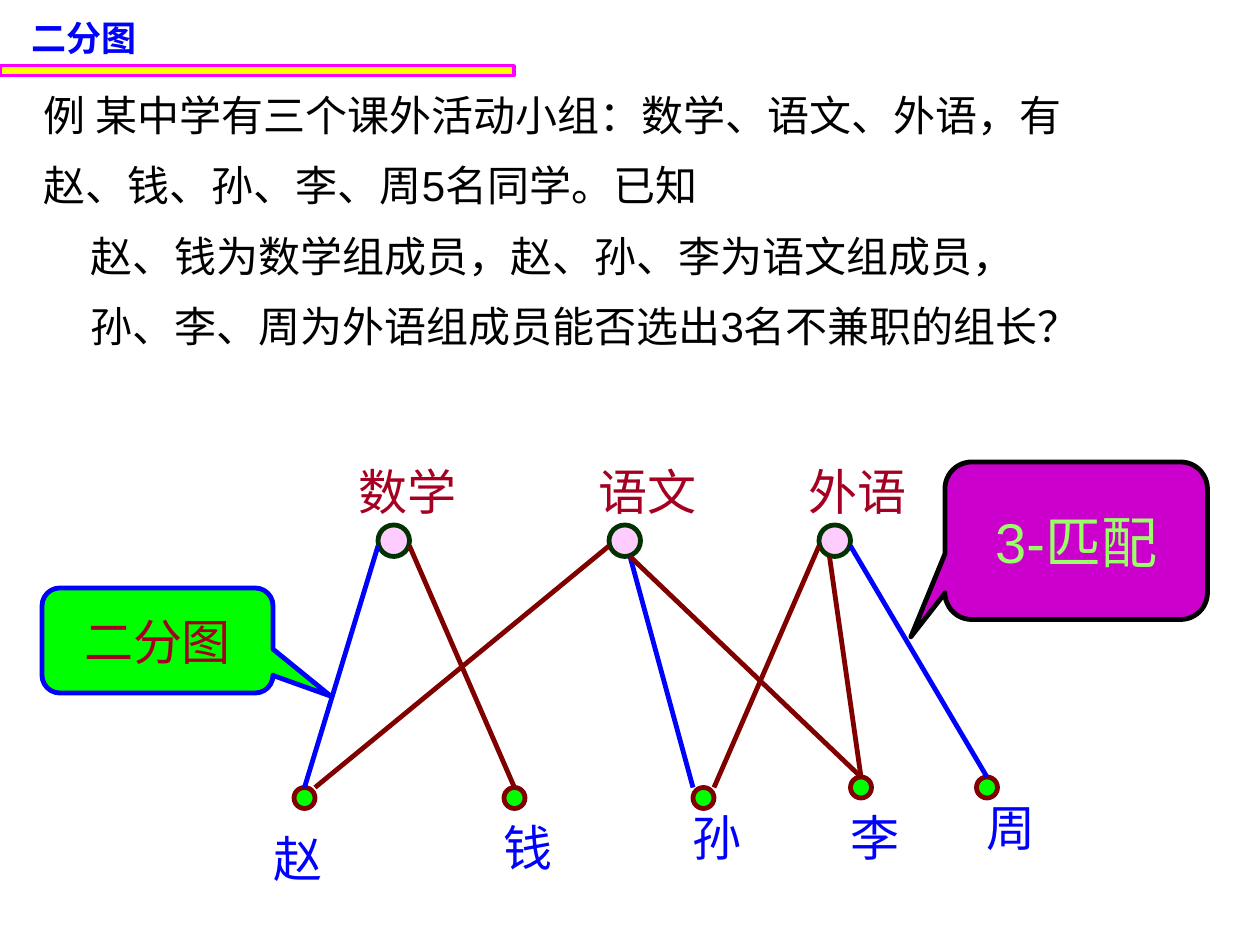
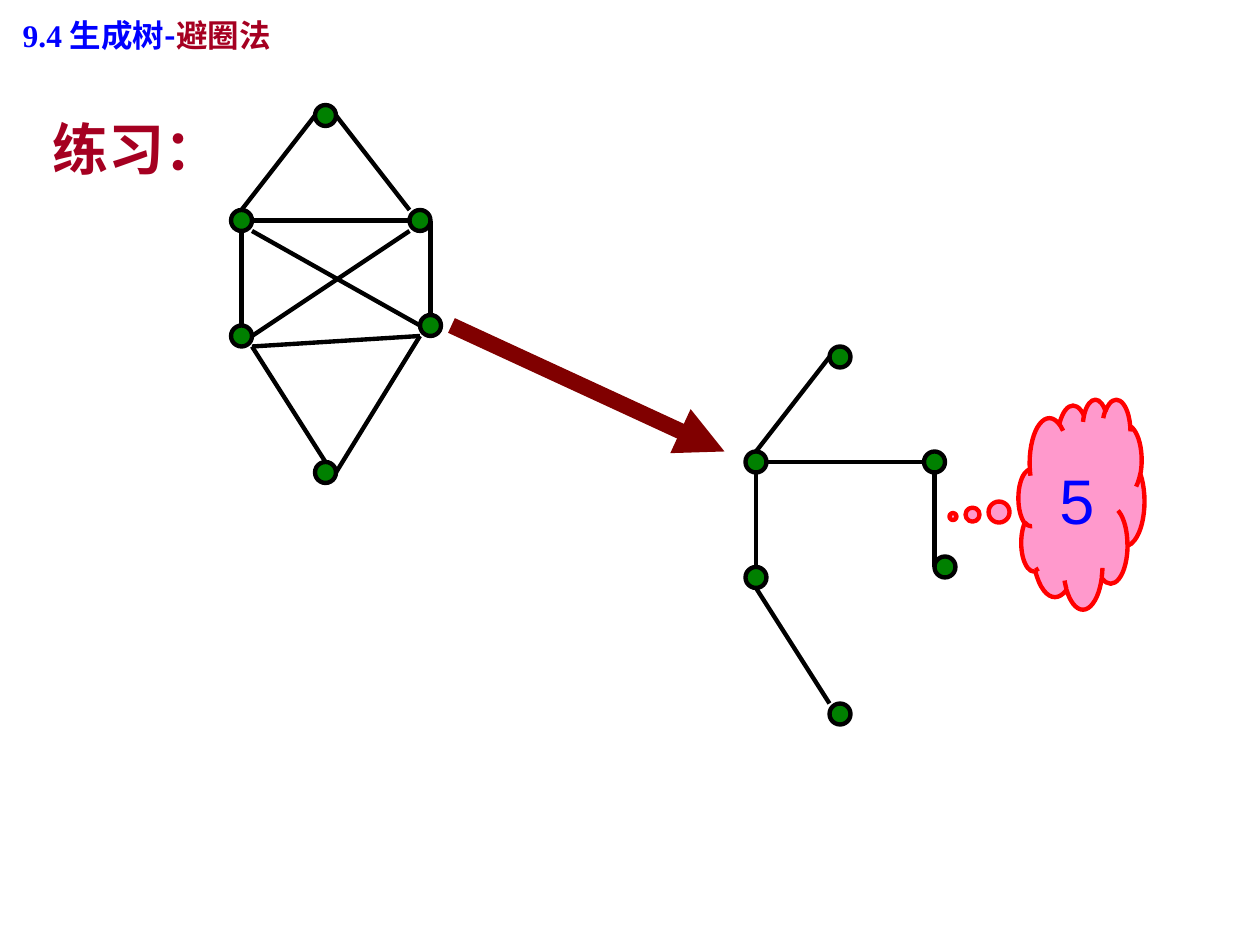
from dataclasses import dataclass

from lxml.etree import SubElement
from pptx import Presentation
from pptx.dml.color import RGBColor
from pptx.enum.shapes import MSO_CONNECTOR as Connector, MSO_SHAPE as Shape
from pptx.enum.text import MSO_ANCHOR as Anchor, MSO_AUTO_SIZE as AutoSize, PP_ALIGN as Align
from pptx.oxml.ns import qn
from pptx.util import Inches, Pt

# Shared colours and fonts
BLACK = RGBColor(0x00, 0x00, 0x00)
BLUE = RGBColor(0x00, 0x00, 0xFF)
CRIMSON = RGBColor(0xA5, 0x00, 0x21)
MAROON = RGBColor(0x80, 0x00, 0x00)
LIME = RGBColor(0x00, 0xFF, 0x00)
GREEN = RGBColor(0x00, 0x80, 0x00)
DARK_GREEN = RGBColor(0x00, 0x33, 0x00)
PALE_PINK = RGBColor(0xFF, 0xCC, 0xFF)
PINK = RGBColor(0xFF, 0x99, 0xCC)
PURPLE = RGBColor(0xCC, 0x00, 0xCC)
PALE_GREEN = RGBColor(0x99, 0xFF, 0x66)
YELLOW = RGBColor(0xFF, 0xFF, 0x00)
MAGENTA = RGBColor(0xFF, 0x00, 0xFF)
RED = RGBColor(0xFF, 0x00, 0x00)

SANS = "Arial"
SERIF = "Times New Roman"
CHINESE = "Noto Sans CJK SC"

GRID = 12  # drawing grid steps per inch


@dataclass(frozen=True)
class Span:
    text: str
    color: RGBColor
    font: str = SANS


@dataclass(frozen=True)
class NodeStyle:
    size: int  # grid steps
    fill: RGBColor
    line: RGBColor
    weight: float


@dataclass(frozen=True)
class Label:
    text: str
    left: float
    top: float
    width: float
    color: RGBColor


@dataclass(frozen=True)
class Edge:
    start: tuple[int, int]  # grid steps
    end: tuple[int, int]
    color: RGBColor = BLACK


@dataclass(frozen=True)
class Callout:
    kind: Shape
    box: tuple[int, int, int, int]  # grid steps
    adjustments: tuple[float, ...]
    fill: RGBColor
    line: RGBColor
    weight: float
    text: Span
    size: int


def grid(steps: int):
    return Inches(steps / GRID)


# Text helpers
def set_typeface(font, name: str, color: RGBColor) -> None:
    font.color.rgb = color
    font.name = name
    SubElement(font._rPr, qn("a:ea")).set("typeface", CHINESE)


def write(para, span: Span, size: int, bold: bool = False) -> None:
    para.text = span.text
    para.font.size = Pt(size)
    para.font.bold = bold
    set_typeface(para.font, span.font, span.color)


def add_text(page, left, top, width, height, wrap: bool = True):
    box = page.shapes.add_textbox(Inches(left), Inches(top), Inches(width), Inches(height))
    box.text_frame.word_wrap = wrap
    return box.text_frame


def add_titled_page(deck, left, width, height, size, spans: list[Span]):
    page = deck.slides.add_slide(deck.slide_layouts[5])
    title = page.shapes.title
    title.left, title.top = Inches(left), Inches(0.08)
    title.width, title.height = Inches(width), Inches(height)
    frame = title.text_frame
    frame.auto_size = AutoSize.NONE
    frame.vertical_anchor = Anchor.MIDDLE
    para = frame.paragraphs[0]
    para.alignment = Align.LEFT
    if len(spans) == 1:
        write(para, spans[0], size, bold=True)
        return page
    para.font.size = Pt(size)
    para.font.bold = True
    for span in spans:
        run = para.add_run()
        run.text = span.text
        set_typeface(run.font, span.font, span.color)
    return page


# Drawing helpers
def add_shape(page, kind, left, top, width, height, fill, line, weight):
    shape = page.shapes.add_shape(kind, left, top, width, height)
    shape.shadow.inherit = False
    shape.fill.solid()
    shape.fill.fore_color.rgb = fill
    shape.line.color.rgb = line
    shape.line.width = Pt(weight)
    return shape


def add_nodes(page, places: list[tuple[int, int]], style: NodeStyle) -> None:
    size = grid(style.size)
    for x, y in places:
        add_shape(page, Shape.OVAL, grid(x), grid(y), size, size,
                  style.fill, style.line, style.weight)


def add_line(page, start, end, color: RGBColor, weight: float):
    line = page.shapes.add_connector(Connector.STRAIGHT, *start, *end)
    line.line.color.rgb = color
    line.line.width = Pt(weight)
    SubElement(line._element.spPr, qn("a:effectLst"))
    return line


def add_edges(page, edges: list[Edge], weight: float) -> None:
    for edge in edges:
        add_line(page, map(grid, edge.start), map(grid, edge.end), edge.color, weight)


def add_arrow(page, start, end, color: RGBColor, weight: float) -> None:
    arrow = add_line(page, start, end, color, weight)
    SubElement(arrow.line._get_or_add_ln(), qn("a:tailEnd")).set("type", "triangle")


def add_labels(page, labels: list[Label]) -> None:
    for label in labels:
        frame = add_text(page, label.left, label.top, label.width, 0.57, wrap=False)
        frame.auto_size = AutoSize.SHAPE_TO_FIT_TEXT
        write(frame.paragraphs[0], Span(label.text, label.color), 28)


def add_callout(page, callout: Callout) -> None:
    shape = add_shape(page, callout.kind, *map(grid, callout.box),
                      callout.fill, callout.line, callout.weight)
    for index, value in enumerate(callout.adjustments):
        shape.adjustments[index] = value
    frame = shape.text_frame
    frame.vertical_anchor = Anchor.MIDDLE
    para = frame.paragraphs[0]
    para.alignment = Align.CENTER
    write(para, callout.text, callout.size)


# Bipartite graph page
PROBLEM = [
    ("例 某中学有三个课外活动小组：数学、语文、外语，有", 0),
    ("赵、钱、孙、李、周5名同学。已知", 0),
    ("赵、钱为数学组成员，赵、孙、李为语文组成员，", 0.37),
    ("孙、李、周为外语组成员能否选出3名不兼职的组长？", 0.37),
]
GROUP_NODE = NodeStyle(3, PALE_PINK, DARK_GREEN, 2.75)
STUDENT_NODE = NodeStyle(2, LIME, MAROON, 2.75)
GROUPS = [(36, 50), (58, 50), (78, 50)]
STUDENTS = [(28, 75), (48, 75), (66, 75), (81, 74), (93, 74)]
GROUP_LABELS = [Label(text, left, 3.61, 0.98, CRIMSON)
                for text, left in [("数学", 2.75), ("语文", 4.65), ("外语", 6.32)]]
STUDENT_LABELS = [Label(text, left, top, 0.59, BLUE) for text, left, top in [
    ("赵", 2.07, 6.53), ("钱", 3.9, 6.44), ("孙", 5.4, 6.36),
    ("李", 6.65, 6.36), ("周", 7.73, 6.28)]]
MEMBERSHIPS = [
    Edge((36, 52), (29, 75), BLUE),
    Edge((39, 52), (49, 75), MAROON),
    Edge((30, 75), (58, 52), MAROON),
    Edge((60, 53), (66, 75), BLUE),
    Edge((60, 53), (82, 74), MAROON),
    Edge((78, 52), (68, 75), MAROON),
    Edge((79, 53), (82, 74), MAROON),
    Edge((81, 52), (94, 74), BLUE),
]
GRAPH_CALLOUTS = [
    Callout(Shape.ROUNDED_RECTANGULAR_CALLOUT, (4, 56, 22, 10), (0.75, 0.53, 0.17),
            LIME, BLUE, 2.75, Span("二分图", CRIMSON), 28),
    Callout(Shape.ROUNDED_RECTANGULAR_CALLOUT, (90, 44, 25, 15), (-0.63, 0.61, 0.17),
            PURPLE, BLACK, 2.75, Span("3-匹配", PALE_GREEN), 32),
]


def build_bipartite_page(deck) -> None:
    page = add_titled_page(deck, 0.15, 2.68, 0.43, 20, [Span("二分图", BLUE, SERIF)])
    add_shape(page, Shape.RECTANGLE, 0, Inches(0.52), Inches(4.08), Inches(0.08),
              YELLOW, MAGENTA, 1.75)

    frame = add_text(page, 0.25, 0.5, 9.35, 2.37)
    for index, (text, indent) in enumerate(PROBLEM):
        para = frame.add_paragraph() if index else frame.paragraphs[0]
        para._p.get_or_add_pPr().set("marL", str(Inches(indent)))
        para.line_spacing = 1.4
        write(para, Span(text, BLACK), 24)

    add_nodes(page, GROUPS, GROUP_NODE)
    add_labels(page, GROUP_LABELS)
    add_nodes(page, STUDENTS, STUDENT_NODE)
    add_edges(page, MEMBERSHIPS, 2.75)
    add_labels(page, STUDENT_LABELS)
    for callout in GRAPH_CALLOUTS:
        add_callout(page, callout)


# Spanning tree page
VERTEX = NodeStyle(2, GREEN, BLACK, 2.5)
VERTICES = [(22, 20), (39, 20), (22, 31), (40, 30), (30, 44), (30, 10)]
TREE_SHIFT = (49, 23)  # from the graph to its spanning tree
TREE_EDGES = [  # edges kept by the tree, at their place in the graph
    Edge((30, 11), (23, 20)),
    Edge((24, 21), (39, 21)),
    Edge((23, 22), (23, 31)),
]
GRAPH_EDGES = TREE_EDGES + [
    Edge((24, 33), (31, 44)),
    Edge((32, 45), (40, 32)),
    Edge((41, 30), (41, 21)),
    Edge((32, 11), (39, 20)),
    Edge((24, 32), (39, 22)),
    Edge((24, 22), (40, 31)),
    Edge((24, 33), (40, 32)),
]
TREE_BRANCHES = [Edge((89, 45), (89, 54)), Edge((72, 56), (79, 67))]
ANSWER = Callout(Shape.CLOUD_CALLOUT, (97, 38, 12, 20), (-1.02, 0.06),
                 PINK, RED, 2.5, Span("5", BLUE), 36)


def shifted(point: tuple[int, int]) -> tuple[int, int]:
    return point[0] + TREE_SHIFT[0], point[1] + TREE_SHIFT[1]


def build_tree_page(deck) -> None:
    page = add_titled_page(deck, 0.08, 3.08, 0.4, 18, [
        Span("9.4 ", BLUE, SERIF),
        Span("生成树-", BLUE, CHINESE),
        Span("避圈法", CRIMSON, CHINESE),
    ])
    heading = add_text(page, 0.32, 0.86, 1.6, 0.63)
    write(heading.paragraphs[0], Span("练习：", CRIMSON), 32, bold=True)

    add_nodes(page, VERTICES, VERTEX)
    add_edges(page, GRAPH_EDGES, 2.5)
    add_nodes(page, [shifted(place) for place in VERTICES], VERTEX)
    kept = [Edge(shifted(edge.start), shifted(edge.end)) for edge in TREE_EDGES]
    add_edges(page, kept + TREE_BRANCHES, 2.5)
    add_arrow(page, (grid(43), grid(31)), (grid(69), grid(43)), MAROON, 9.25)
    add_callout(page, ANSWER)


def main() -> None:
    deck = Presentation()
    deck.slide_width, deck.slide_height = Inches(10), Inches(7.5)
    build_bipartite_page(deck)
    build_tree_page(deck)
    deck.save("out.pptx")


if __name__ == "__main__":
    main()
